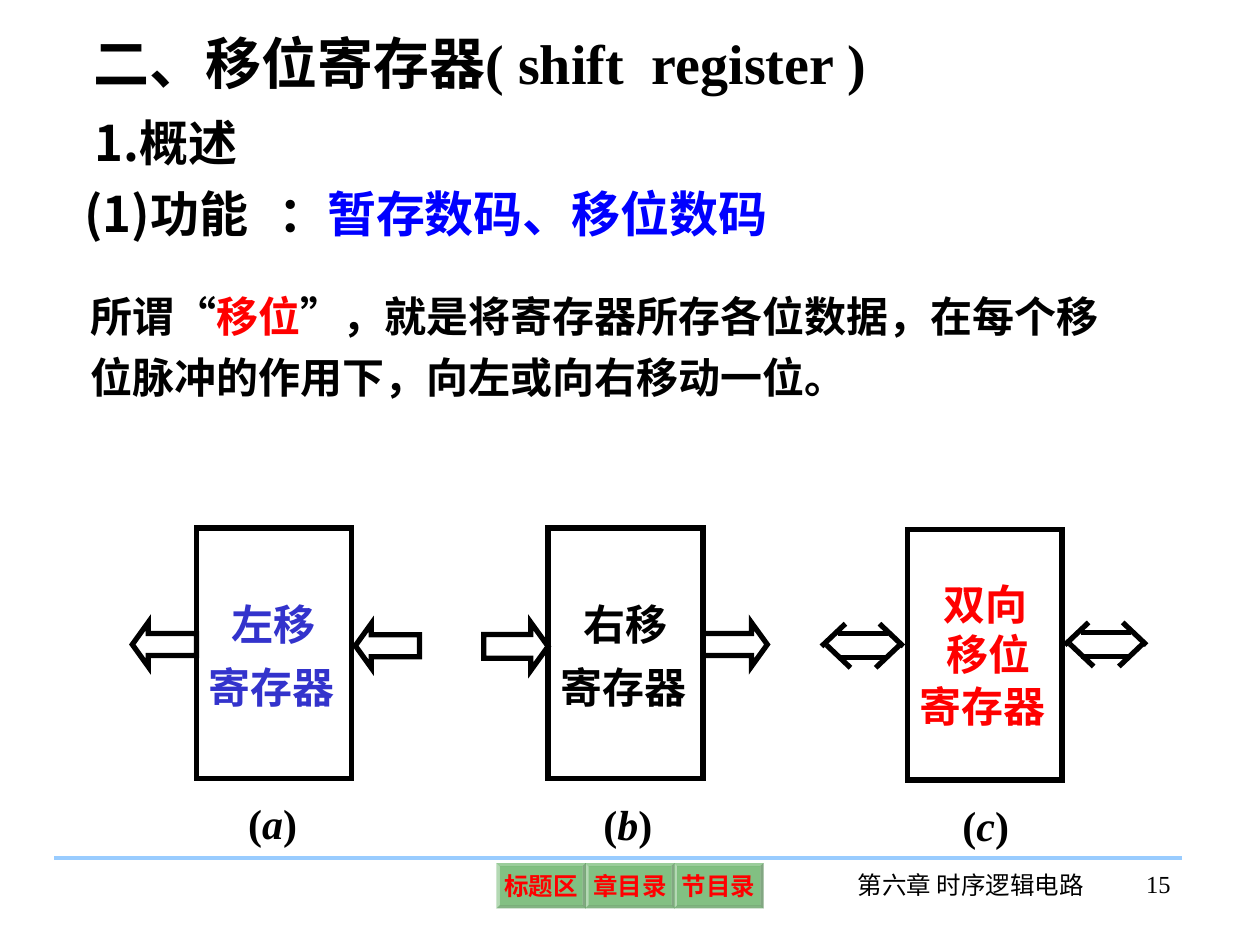
from lxml import etree
from pptx import Presentation, util as u
from pptx.dml.color import RGBColor
from pptx.enum import shapes, text
from pptx.oxml.ns import qn

COLORS = {"ink": "000000", "blue": "0000FF", "indigo": "3333CC", "red": "FF0000",
          "green": "008000", "rule": "99CCFF"}
SERIF, SANS = "Times New Roman", "Noto Sans CJK SC"


def color(name):
    return RGBColor.from_string(COLORS[name])


class SlideBuilder:
    """Holds the current slide and the shared style."""

    def __init__(self, slide, size=24, stroke=3):
        self.slide, self.size, self.stroke = slide, size, stroke

    def add_runs(self, frame, runs, size, align=None, bold=True):
        """Each run is (wording, color, font, italic), the last three optional."""
        paragraph = frame.paragraphs[0]
        paragraph.alignment = align
        for wording, ink, face, italic in (r + ("ink", SERIF, False)[len(r) - 1:] for r in runs):
            run = paragraph.add_run()
            run.text = wording
            font = run.font
            font.size, font.bold, font.italic = u.Pt(size), bold, italic
            font.color.rgb = color(ink)
            font.name = face
            etree.SubElement(font._element, qn("a:ea"), typeface=SANS)
        return paragraph

    def label(self, left, top, width, height, runs, size=None, **style):
        box = self.slide.shapes.add_textbox(*map(u.Inches, (left, top, width, height)))
        box.text_frame.word_wrap = True
        return self.add_runs(box.text_frame, runs, size or self.size, **style)

    def outline(self, item, ink, width):
        item.line.color.rgb = color(ink)
        item.line.width = u.Pt(width)
        etree.SubElement(item._element.spPr.find(qn("a:ln")), qn("a:miter"), lim="800000")

    def shape(self, kind, left, top, width, height):
        item = self.slide.shapes.add_shape(kind, *map(u.Inches, (left, top, width, height)))
        item.shadow.inherit = False
        return item

    def outlined(self, kind, left, top, width, height):
        item = self.shape(kind, left, top, width, height)
        item.fill.background()
        self.outline(item, "ink", self.stroke)
        return item

    def block_arrow(self, kind, left, top, height=0.35):
        arrow = self.outlined(kind, left, top, 0.51, height)
        arrow.adjustments[1] = 0.36

    def line(self, x1, y1, x2, y2, ink="ink", width=None):
        item = self.slide.shapes.add_connector(
            shapes.MSO_CONNECTOR.STRAIGHT, *map(u.Inches, (x1, y1, x2, y2)))
        self.outline(item, ink, width or self.stroke)
        etree.SubElement(item._element.spPr, qn("a:effectLst"))

    def double_arrow(self, left, top):
        strokes = [(0.13, 0.08, 0.53, 0.08), (0.13, 0.27, 0.53, 0.27),  # shaft
                   (0.19, 0, 0, 0.18), (0.04, 0.17, 0.23, 0.35),        # left head
                   (0.46, 0, 0.65, 0.18), (0.62, 0.17, 0.43, 0.35)]     # right head
        for x1, y1, x2, y2 in strokes:
            self.line(left + x1, top + y1, left + x2, top + y2)

    def button(self, left, wording):
        item = self.shape(shapes.MSO_SHAPE.BEVEL, left, 6.85, 0.71, 0.36)
        item.adjustments[0] = 0.07
        item.fill.solid()
        item.fill.fore_color.rgb = color("green")
        tint = item._element.spPr.find(".//" + qn("a:srgbClr"))
        etree.SubElement(tint, qn("a:alpha"), val="49000")
        item.line.fill.background()
        frame = item.text_frame
        frame.word_wrap = False
        frame.vertical_anchor = text.MSO_ANCHOR.MIDDLE
        frame.margin_left = frame.margin_right = u.Inches(0.04)
        frame.margin_top = frame.margin_bottom = u.Inches(0.04)
        self.add_runs(frame, [(wording, "red")], 14, text.PP_ALIGN.CENTER)

    def register(self, left, top, ink, lines, caption, caption_at):
        """A register block; lines are (wording, x offset, y offset, width)."""
        self.outlined(shapes.MSO_SHAPE.RECTANGLE, left, top, 1.23, 1.99)
        for wording, dx, dy, width in lines:
            self.label(left + dx, top + dy, width, 0.5, [(wording, ink)])
        self.label(*caption_at, 0.79, 0.5,
                   [("(",), (caption, "ink", SERIF, True), (")",)])


def main():
    deck = Presentation()
    deck.slide_width, deck.slide_height = u.Inches(10), u.Inches(7.5)
    page = SlideBuilder(deck.slides.add_slide(deck.slide_layouts[6]))

    # Footer
    page.line(0.43, 6.81, 9.38, 6.81, "rule", 2.25)
    for position, wording in enumerate(["标题区", "章目录", "节目录"]):
        page.button(3.94 + 0.705 * position, wording)
    page.label(6.66, 6.86, 2.09, 0.5, [("第六章 时序逻辑电路",)], 14,
               align=text.PP_ALIGN.CENTER, bold=False)
    page.label(8.53, 6.85, 0.86, 0.5, [("15",)], 14,
               align=text.PP_ALIGN.RIGHT, bold=False)

    # Headings
    page.label(0.64, 0.18, 7.99, 0.64,
               [("二、移位寄存器", "ink", SANS), ("( shift  register )",)], 32)
    page.label(0.65, 0.84, 7.99, 0.57, [("1.", "ink", SANS), ("概述",)], 28)
    page.label(0.57, 1.41, 1.72, 0.57, [("(1)功能", "ink", SANS)], 28)
    page.label(2.11, 1.41, 4.77, 0.57,
               [("：", "ink", SANS), ("暂存数码、移位数码", "blue", SANS)], 28)

    # Definition of shifting
    definition = page.label(0.62, 2.18, 8.43, 1.06, [
        ("所谓",), ("“", "ink", SANS), ("移位", "red"), ("”", "ink", SANS),
        ("，就是将寄存器所存各位数据，在每个移位脉冲的作用下，向左或向右移动一位。",)])
    definition.line_spacing = 1.2

    # Data flow arrows
    left_arrow, right_arrow = shapes.MSO_SHAPE.LEFT_ARROW, shapes.MSO_SHAPE.RIGHT_ARROW
    page.block_arrow(left_arrow, 1.05, 4.94)
    page.block_arrow(left_arrow, 2.82, 4.95)
    page.block_arrow(right_arrow, 3.84, 4.94, 0.38)
    page.block_arrow(right_arrow, 5.58, 4.94)
    page.double_arrow(6.52, 4.95)
    page.double_arrow(8.45, 4.94)

    # Registers
    noun = "寄存器"
    for left, ink, direction, caption, caption_at in [
            (1.56, "indigo", "左移", "a", (1.87, 6.28)),
            (4.35, "ink", "右移", "b", (4.69, 6.29))]:
        page.register(left, 4.19, ink, [(direction, 0.18, 0.51, 1.04), (noun, 0, 1.01, 1.28)],
                      caption, caption_at)
    page.register(7.2, 4.2, "red", [("双向", 0.19, 0.34, 1.04), ("移位", 0.21, 0.74, 0.98),
                                    (noun, 0, 1.15, 1.28)], "c", (7.54, 6.3))

    deck.save("out.pptx")


if __name__ == "__main__":
    main()
